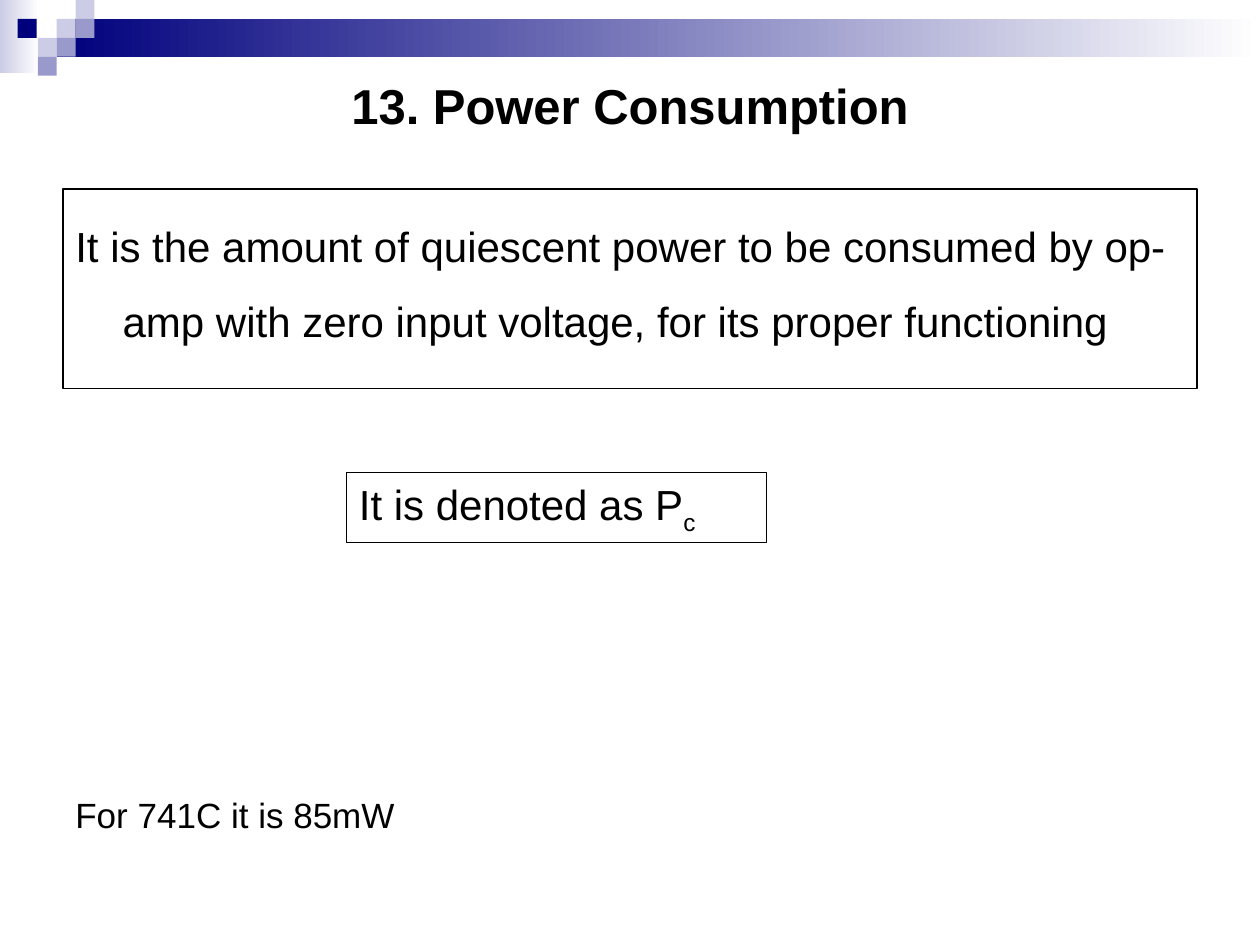
from dataclasses import dataclass

from pptx import Presentation
from pptx.dml.color import RGBColor
from pptx.enum.shapes import MSO_SHAPE
from pptx.enum.text import MSO_ANCHOR, PP_ALIGN
from pptx.util import Pt

RECTANGLE = MSO_SHAPE.RECTANGLE
TOP, MIDDLE = MSO_ANCHOR.TOP, MSO_ANCHOR.MIDDLE
LEFT, CENTER = PP_ALIGN.LEFT, PP_ALIGN.CENTER


@dataclass(frozen=True)
class Theme:
    font: str = "Arial"
    ink: str = "000000"
    paper: str = "FFFFFF"
    navy: str = "00007D"
    violet: str = "9999CC"
    lavender: str = "CCCCE6"
    title_size: float = 28
    body_size: float = 24
    note_size: float = 20
    border: float = 0.75


def write_text(frame, text, *, theme, size, bold=False, align=LEFT, anchor=TOP,
               space_before=0, line_spacing=None, hanging=0, subscript=""):
    frame.word_wrap = True
    frame.vertical_anchor = anchor
    paragraph = frame.paragraphs[0]
    paragraph.alignment = align
    paragraph.space_before = Pt(space_before)
    if line_spacing:
        paragraph.line_spacing = line_spacing
    if hanging:
        properties = paragraph._p.get_or_add_pPr()
        properties.set("marL", str(Pt(hanging)))
        properties.set("indent", str(-Pt(hanging)))
    for content, baseline in ((text, 0), (subscript, -25000)):
        if not content:
            continue
        run = paragraph.add_run()
        run.text = content
        run.font.name = theme.font
        run.font.size = Pt(size)
        run.font.bold = bold
        run.font.color.rgb = RGBColor.from_string(theme.ink)
        if baseline:
            run._r.get_or_add_rPr().set("baseline", str(baseline))


class SlideBuilder:
    def __init__(self, slide, theme):
        self.slide = slide
        self.theme = theme

    def rectangle(self, left, top, width, height):
        shape = self.slide.shapes.add_shape(
            RECTANGLE, Pt(left), Pt(top), Pt(width), Pt(height))
        shape.shadow.inherit = False
        return shape

    def block(self, left, top, width, height, color):
        shape = self.rectangle(left, top, width, height)
        shape.fill.solid()
        shape.fill.fore_color.rgb = RGBColor.from_string(color)
        shape.line.fill.background()

    def fade(self, left, top, width, height, color):
        shape = self.rectangle(left, top, width, height)
        shape.fill.gradient()
        shape.fill.gradient_angle = 0
        for stop, stop_color in zip(shape.fill.gradient_stops, (color, self.theme.paper)):
            stop.color.rgb = RGBColor.from_string(stop_color)
        shape.line.fill.background()

    def text(self, left, top, width, height, text, **text_format):
        box = self.slide.shapes.add_textbox(Pt(left), Pt(top), Pt(width), Pt(height))
        write_text(box.text_frame, text, theme=self.theme, **text_format)

    def framed_text(self, left, top, width, height, text, **text_format):
        shape = self.rectangle(left, top, width, height)
        shape.fill.background()
        shape.line.color.rgb = RGBColor.from_string(self.theme.ink)
        shape.line.width = Pt(self.theme.border)
        write_text(shape.text_frame, text, theme=self.theme, **text_format)


def draw_banner(builder):
    theme = builder.theme
    cell = 10.8
    columns = (10.08, 2 * cell, 3 * cell, 4 * cell)
    builder.fade(0, 0, 22.32, 41.76, theme.lavender)
    builder.fade(columns[2], cell, 720 - columns[2], 2 * cell, theme.navy)
    squares = (
        (2, 1, theme.lavender),
        (3, 0, theme.lavender),
        (3, 1, theme.violet),
        (1, 2, theme.lavender),
        (0, 1, theme.navy),
        (2, 2, theme.violet),
        (1, 3, theme.violet),
    )
    for column, row, color in squares:
        builder.block(columns[column], row * cell, cell, cell, color)


def main():
    theme = Theme()
    presentation = Presentation()
    presentation.slide_width = Pt(720)
    presentation.slide_height = Pt(540)
    slide = presentation.slides.add_slide(presentation.slide_layouts[6])
    builder = SlideBuilder(slide, theme)

    draw_banner(builder)
    builder.text(36, 36, 648, 48, "13. Power Consumption",
                 size=theme.title_size, bold=True, align=CENTER, anchor=MIDDLE)
    builder.framed_text(
        36, 108, 648, 114,
        "It is the amount of quiescent power to be consumed by op-amp "
        "with zero input voltage, for its proper functioning",
        size=theme.body_size, space_before=6, line_spacing=1.5, hanging=27)
    builder.framed_text(198, 270, 240, 40, "It is denoted as P", subscript="c",
                        size=theme.body_size, space_before=15)
    builder.text(36, 450, 216, 31.5, "For 741C it is 85mW",
                 size=theme.note_size, space_before=12.5)

    presentation.save("out.pptx")


if __name__ == "__main__":
    main()
